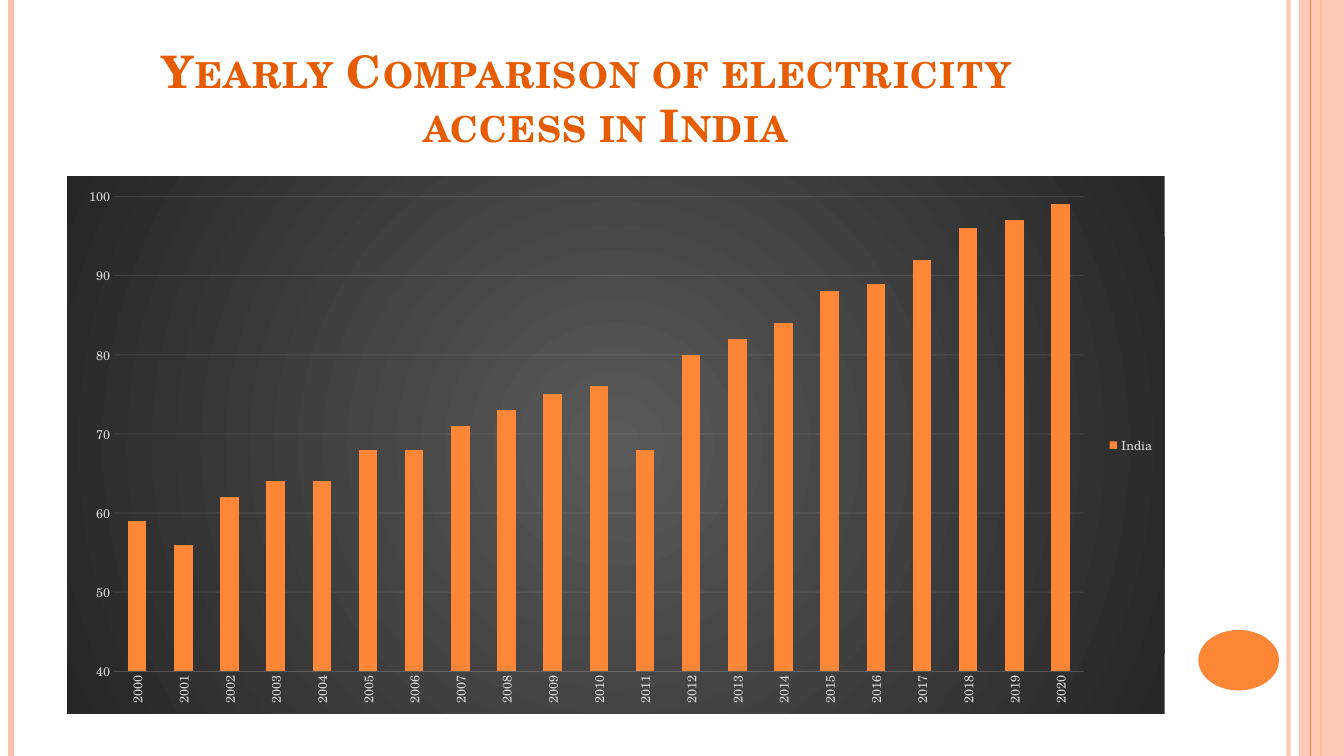
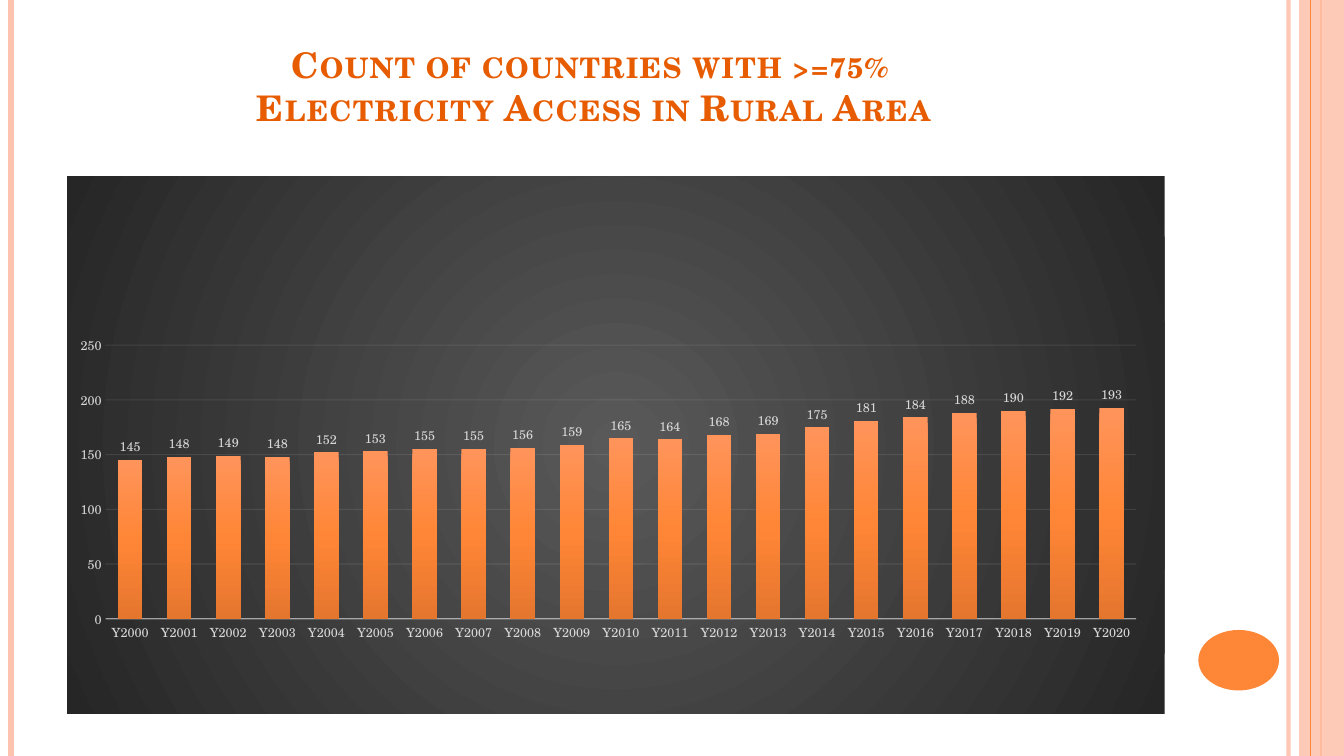
from pptx import Presentation
from pptx.chart.data import CategoryChartData
from pptx.dml.color import RGBColor
from pptx.enum.chart import XL_CHART_TYPE as ChartType, XL_LABEL_POSITION as LabelPosition
from pptx.enum.chart import XL_LEGEND_POSITION as LegendPosition, XL_TICK_MARK as TickMark
from pptx.enum.shapes import MSO_CONNECTOR as Connector, MSO_SHAPE as Shape
from pptx.enum.text import MSO_ANCHOR as Anchor, MSO_AUTO_SIZE as AutoSize, PP_ALIGN as Align
from pptx.oxml import parse_xml
from pptx.oxml.ns import nsdecls, qn
from pptx.util import Pt

FONT = "TeX Gyre Schola"
ORANGE = RGBColor(0xFE, 0x86, 0x37)
PEACH = RGBColor(0xFE, 0xC3, 0xAE)
TITLE_COLOR = RGBColor(0xE7, 0x5C, 0x01)
LABEL_COLOR = RGBColor(0xD9, 0xD9, 0xD9)
GRID_COLOR = RGBColor(0xF2, 0xF2, 0xF2)
PANEL_STOPS = [(0, RGBColor(0x59, 0x59, 0x59)), (100, RGBColor(0x26, 0x26, 0x26))]
BAR_STOPS = [(0, RGBColor(0xFF, 0x94, 0x5B)), (50, RGBColor(0xFF, 0x86, 0x36)),
             (100, RGBColor(0xE5, 0x76, 0x2E))]
RADIAL = ('<a:path path="circle"><a:fillToRect l="50000" t="50000" r="50000" b="50000"/>'
          '</a:path>')
DOWNWARD = '<a:lin ang="5400000" scaled="0"/>'

WIDTH, HEIGHT = 960, 540
LEFT, CONTENT_WIDTH = 48, 784
YEARS = range(2000, 2021)
INDIA_ACCESS = [59, 56, 62, 64, 64, 68, 68, 71, 73, 75, 76, 68, 80, 82, 84, 88, 89, 92, 96,
                97, 99]
COUNTRY_COUNTS = [145, 148, 149, 148, 152, 153, 155, 155, 156, 159, 165, 164, 168, 169, 175,
                  181, 184, 188, 190, 192, 193]


def fade(fill, percent):
    """Make a solid fill partly transparent."""
    for color in fill._xPr.iter(qn("a:srgbClr")):
        color.append(parse_xml(f'<a:alpha {nsdecls("a")} val="{percent * 1000}"/>'))


def gradient(stops, direction):
    """Return a gradient fill element."""
    marks = "".join(f'<a:gs pos="{position * 1000}"><a:srgbClr val="{color}"/></a:gs>'
                    for position, color in stops)
    return parse_xml(f'<a:gradFill {nsdecls("a")} rotWithShape="1">'
                     f'<a:gsLst>{marks}</a:gsLst>{direction}</a:gradFill>')


def style_line(line, color, width, opacity=100):
    """Give a line its colour, width and opacity."""
    line.color.rgb = color
    line.width = Pt(width)
    if opacity < 100:
        fade(line.fill, opacity)


def style_font(font, size, color):
    """Give a font the deck's typeface with a size and colour."""
    font.name = FONT
    font.size = Pt(size)
    font.color.rgb = color


class Deck:
    """Hold the shared style and the current slide."""

    def __init__(self):
        """Start an empty widescreen presentation."""
        self.presentation = Presentation()
        self.presentation.slide_width = Pt(WIDTH)
        self.presentation.slide_height = Pt(HEIGHT)
        self.slide = None

    def add_slide(self, title, size, bottom_margin=3.6):
        """Add a decorated slide with a title."""
        self.slide = self.presentation.slides.add_slide(self.presentation.slide_layouts[5])
        self.add_stripe(920.4, PEACH, 3, 93)
        self.add_stripe(8, PEACH, 4.5)
        self.add_stripe(943.8, ORANGE, 1.5)
        self.add_block(Shape.RECTANGLE, 928, 0, 32, HEIGHT, PEACH, 87)
        self.add_stripe(936, ORANGE, 0.75)
        self.add_block(Shape.OVAL, 856, 450, 57.6, 43.2, ORANGE)
        self.set_title(title, size, bottom_margin)

    def add_stripe(self, x, color, width, opacity=100):
        """Add a full-height vertical line."""
        stripe = self.slide.shapes.add_connector(Connector.STRAIGHT, Pt(x), Pt(0), Pt(x),
                                                 Pt(HEIGHT))
        style_line(stripe.line, color, width, opacity)
        stripe.element.spPr.append(parse_xml(f'<a:effectLst {nsdecls("a")}/>'))

    def add_block(self, kind, left, top, width, height, color, opacity=100):
        """Add a plain filled shape."""
        block = self.slide.shapes.add_shape(kind, Pt(left), Pt(top), Pt(width), Pt(height))
        block.shadow.inherit = False
        block.line.fill.background()
        block.fill.solid()
        block.fill.fore_color.rgb = color
        if opacity < 100:
            fade(block.fill, opacity)

    def set_title(self, text, size, bottom_margin):
        """Place and format the title placeholder."""
        title = self.slide.shapes.title
        title.left, title.top = Pt(LEFT), Pt(21.6)
        title.width, title.height = Pt(CONTENT_WIDTH), Pt(90)
        frame = title.text_frame
        frame.text = text
        frame.word_wrap = True
        frame.auto_size = AutoSize.NONE
        frame.vertical_anchor = Anchor.BOTTOM
        frame.margin_bottom = Pt(bottom_margin)
        paragraph = frame.paragraphs[0]
        paragraph.alignment = Align.CENTER
        paragraph.font.bold = True
        style_font(paragraph.font, size, TITLE_COLOR)
        properties = paragraph.font._element
        properties.set("cap", "small")
        properties.set("spc", "100")

    def add_column_chart(self, name, categories, values, gap):
        """Add a column chart on a dark panel and return it."""
        data = CategoryChartData()
        data.categories = categories
        data.add_series(name, values)
        chart = self.slide.shapes.add_chart(ChartType.COLUMN_CLUSTERED, Pt(LEFT), Pt(126),
                                            Pt(CONTENT_WIDTH), Pt(384), data).chart
        chart.has_title = False
        chart.has_legend = False
        style_font(chart.font, 9, LABEL_COLOR)
        panel = parse_xml(f'<c:spPr {nsdecls("c", "a")}><a:ln><a:noFill/></a:ln></c:spPr>')
        panel.insert(0, gradient(PANEL_STOPS, RADIAL))
        chart.element.find(qn("c:chart")).addnext(panel)
        plot = chart.plots[0]
        plot.gap_width = gap
        plot.vary_by_categories = False
        fill = plot.series[0].format.fill
        fill.solid()
        fill.fore_color.rgb = ORANGE
        for axis in (chart.category_axis, chart.value_axis):
            axis.major_tick_mark = axis.minor_tick_mark = TickMark.NONE
            style_font(axis.tick_labels.font, 9, LABEL_COLOR)
        chart.value_axis.format.line.fill.background()
        style_line(chart.value_axis.major_gridlines.format.line, GRID_COLOR, 0.75, 10)
        return chart

    def add_india_chart(self):
        """Add the yearly access chart with a legend and upright years."""
        chart = self.add_column_chart("India", [str(year) for year in YEARS], INDIA_ACCESS, 150)
        axis = chart.value_axis
        axis.minimum_scale, axis.maximum_scale, axis.major_unit = 40, 100, 10
        style_line(chart.category_axis.format.line, GRID_COLOR, 0.75, 10)
        labels = chart.category_axis._element.find(qn("c:txPr"))
        labels.find(qn("a:bodyPr")).set("rot", "-5400000")
        chart.has_legend = True
        chart.legend.position = LegendPosition.RIGHT
        chart.legend.include_in_layout = False
        style_font(chart.legend.font, 9, LABEL_COLOR)

    def add_count_chart(self):
        """Add the country count chart with shaded columns and value labels."""
        chart = self.add_column_chart("Series 1", [f"Y{year}" for year in YEARS],
                                      COUNTRY_COUNTS, 100)
        style_line(chart.category_axis.format.line, GRID_COLOR, 1, 54)
        plot = chart.plots[0]
        properties = plot.series[0].format.fill._xPr
        properties.replace(properties.find(qn("a:solidFill")), gradient(BAR_STOPS, DOWNWARD))
        plot.has_data_labels = True
        labels = plot.data_labels
        labels.show_value = True
        labels.position = LabelPosition.OUTSIDE_END
        style_font(labels.font, 9, LABEL_COLOR)
        self.place_plot(chart, x=0.035, y=0.314, w=0.939, h=0.509)

    def place_plot(self, chart, **fractions):
        """Fix the inner plot area as fractions of the chart."""
        area = chart.element.find(qn("c:chart")).find(qn("c:plotArea"))
        for layout in area.findall(qn("c:layout")):
            area.remove(layout)
        modes = "".join(f'<c:{side}Mode val="edge"/>' for side in "xy")
        sizes = "".join(f'<c:{side} val="{value}"/>' for side, value in fractions.items())
        area.insert(0, parse_xml(f'<c:layout {nsdecls("c")}><c:manualLayout>'
                                 f'<c:layoutTarget val="inner"/>{modes}{sizes}'
                                 '</c:manualLayout></c:layout>'))

    def save(self):
        """Write the presentation."""
        self.presentation.save("out.pptx")


def main():
    """Build both slides."""
    deck = Deck()
    deck.add_slide("Yearly Comparison of electricity \vaccess in India", 32)
    deck.add_india_chart()
    deck.add_slide("Count of countries with >=75% \vElectricity Access in Rural Area", 25.2, 20)
    deck.add_count_chart()
    deck.save()


if __name__ == "__main__":
    main()
